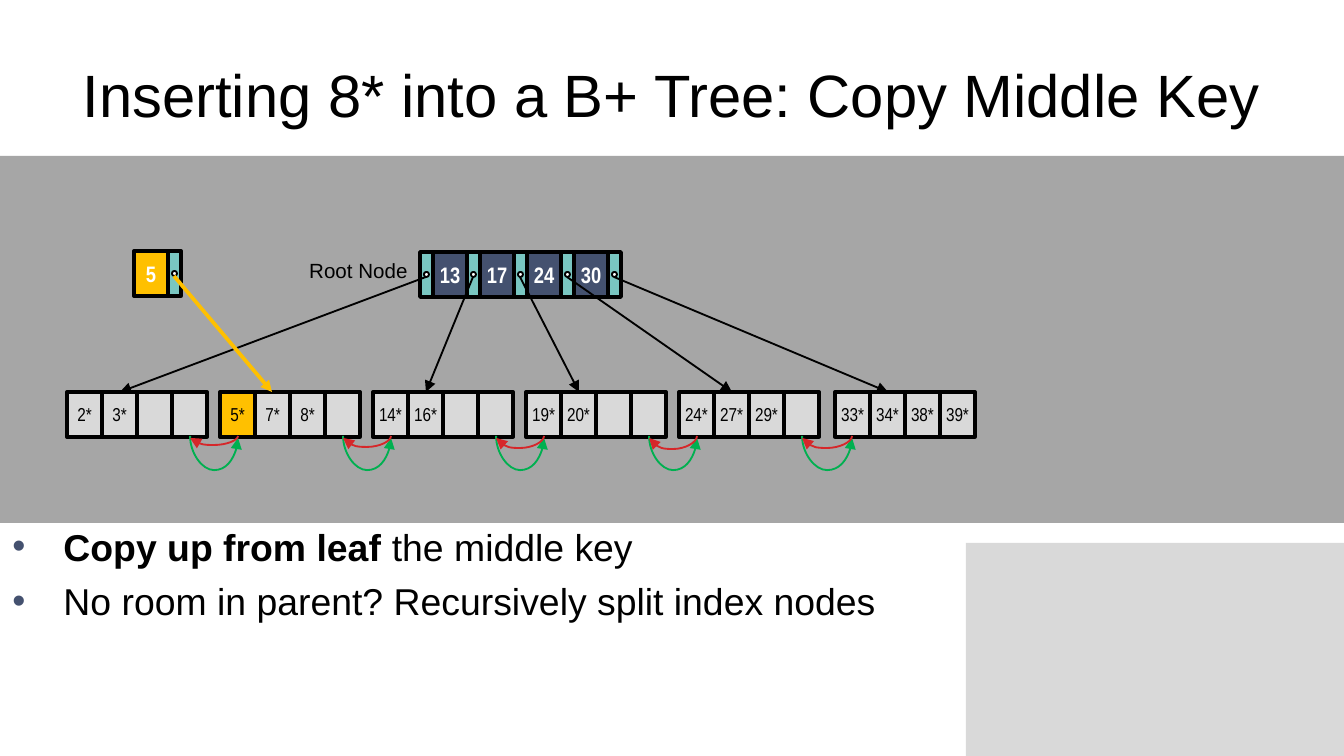
"""Build a slide showing a key copied up during a B+ tree insertion."""
import itertools

import pptx
import pptx.dml.color
import pptx.enum.shapes
import pptx.enum.text
import pptx.oxml.ns
import pptx.util
from lxml import etree

SCALE = 914400 / 134.4
COLORS = {
    "black": "000000", "white": "FFFFFF", "band": "A6A6A6", "light": "D9D9D9",
    "key": "44516F", "pointer": "79C6C1", "highlight": "FFC000",
    "next": "00B050", "previous": "D6272A",
}
SHAPES = pptx.enum.shapes.MSO_SHAPE
CONNECTORS = pptx.enum.shapes.MSO_CONNECTOR
ALIGN = pptx.enum.text.PP_ALIGN
ANCHOR = pptx.enum.text.MSO_ANCHOR
KEY_WIDTH, POINTER_WIDTH, LEAF_WIDTH, CELL_HEIGHT = 34, 13, 35, 45
ROOT_LEFT, ROOT_TOP, SPLIT_LEFT, SPLIT_TOP, LEAF_TOP = 420, 252, 134, 251, 392
LEAF_LEFTS = [67, 220, 373, 526, 679, 835]
LEAVES = [
    ["2*", "3*", "", ""], ["5*", "7*", "8*", ""], ["14*", "16*", "", ""],
    ["19*", "20*", "", ""], ["24*", "27*", "29*", ""], ["33*", "34*", "38*", "39*"],
]
PREVIOUS_DEPTHS = [9, 11, 12, 13, 12]


def px(length):
    """Turn pixels into EMU."""
    return pptx.util.Emu(round(length * SCALE))


def rgb(color):
    """Look up a named colour."""
    return pptx.dml.color.RGBColor.from_string(COLORS[color])


def add_child(parent, tag, **attributes):
    """Append a DrawingML element."""
    return etree.SubElement(parent, pptx.oxml.ns.qn(f"a:{tag}"), **attributes)


def write_text(paragraph, text, size=20, font="Arial", color="black", bold=False, align=None):
    """Add a formatted run to a paragraph."""
    if align is not None:
        paragraph.alignment = align
    run = paragraph.add_run()
    run.text = text
    run.font.size = pptx.util.Pt(size)
    run.font.name = font
    run.font.bold = bold
    run.font.color.rgb = rgb(color)


class TreeSlide:
    """Hold the slide and the style of its elements."""

    def __init__(self, slide):
        """Keep the current slide."""
        self.slide = slide

    def place(self, shape, left, top, width, height):
        """Move and size a shape."""
        shape.left, shape.top, shape.width, shape.height = map(px, (left, top, width, height))

    def title(self, text, *box):
        """Fill the title placeholder."""
        shape = self.slide.shapes.title
        self.place(shape, *box)
        shape.text_frame.auto_size = pptx.enum.text.MSO_AUTO_SIZE.NONE
        shape.text_frame.vertical_anchor = ANCHOR.MIDDLE
        write_text(shape.text_frame.paragraphs[0], text, size=32, align=ALIGN.CENTER)

    def bullets(self, items, *box):
        """Fill the body placeholder with bulleted items."""
        shape = self.slide.placeholders[1]
        self.place(shape, *box)
        frame = shape.text_frame
        frame.auto_size = pptx.enum.text.MSO_AUTO_SIZE.NONE
        for index, runs in enumerate(items):
            paragraph = frame.add_paragraph() if index else frame.paragraphs[0]
            properties = paragraph._p.get_or_add_pPr()
            properties.set("marL", str(px(51)))
            properties.set("indent", str(px(-51)))
            add_child(add_child(properties, "buClr"), "srgbClr", val=COLORS["key"])
            add_child(properties, "buFont", typeface="Arial")
            add_child(properties, "buChar", char="•")
            paragraph.space_before = pptx.util.Pt(5 if index else 0)
            for text, bold in runs:
                write_text(paragraph, text, bold=bold)

    def shape(self, left, top, width, height, fill, line=0, kind=SHAPES.RECTANGLE, group=None):
        """Draw a filled shape, outlined when a line width is given."""
        shapes = (group or self.slide).shapes
        shape = shapes.add_shape(kind, *map(px, (left, top, width, height)))
        shape.shadow.inherit = False
        shape.fill.solid()
        shape.fill.fore_color.rgb = rgb(fill)
        if line:
            shape.line.color.rgb = rgb("black")
            shape.line.width = pptx.util.Pt(line)
        else:
            shape.line.fill.background()
        return shape

    def cell(self, group, left, top, width, fill, text="", **style):
        """Draw one cell of a node."""
        shape = self.shape(left, top, width, CELL_HEIGHT, fill, line=2, group=group)
        if text:
            frame = shape.text_frame
            frame.margin_left = frame.margin_right = 0
            frame.vertical_anchor = ANCHOR.MIDDLE
            write_text(frame.paragraphs[0], text, font="Arial Narrow", align=ALIGN.CENTER, **style)

    def pointer(self, group, left, top):
        """Draw a pointer cell and return the start of its arrow."""
        self.cell(group, left, top, POINTER_WIDTH, "pointer")
        self.shape(left + 4, top + 20, 5, 5, "white", line=1, kind=SHAPES.OVAL, group=group)
        return left + 6, top + 25

    def index_node(self, left, top, keys, fill, leading=False):
        """Draw keys with their pointers and return the arrow starts."""
        group = self.slide.shapes.add_group_shape()
        starts = []
        if leading:
            starts.append(self.pointer(group, left, top))
            left += POINTER_WIDTH
        for key in keys:
            self.cell(group, left, top, KEY_WIDTH, fill, key, size=12, color="white", bold=True)
            starts.append(self.pointer(group, left + KEY_WIDTH, top))
            left += KEY_WIDTH + POINTER_WIDTH
        return starts

    def leaf(self, left, entries, highlight):
        """Draw a leaf node."""
        group = self.slide.shapes.add_group_shape()
        for index, entry in enumerate(entries):
            fill = "highlight" if entry == highlight else "light"
            self.cell(group, left + index * LEAF_WIDTH, LEAF_TOP, LEAF_WIDTH, fill, entry, size=10)

    def arrow(self, start, end, color="black", width=1, kind=CONNECTORS.STRAIGHT):
        """Draw a connector with an arrowhead at its end."""
        connector = self.slide.shapes.add_connector(kind, *map(px, (*start, *end)))
        connector.line.color.rgb = rgb(color)
        connector.line.width = pptx.util.Pt(width)
        add_child(connector.line._get_or_add_ln(), "tailEnd", type="triangle")
        add_child(connector._element.spPr, "effectLst")
        return connector

    def sibling_link(self, left, right, depth, color, forward):
        """Draw a curved arrow hanging below two neighbouring leaves."""
        center, half = (left + right) // 2, (right - left) // 2
        bottom = LEAF_TOP + CELL_HEIGHT
        side = 1 if forward else -1
        connector = self.arrow((center + side, bottom - half), (center - side, bottom + half),
                               color, kind=CONNECTORS.CURVE)
        properties = connector._element.spPr
        properties.find(pptx.oxml.ns.qn("a:xfrm")).set("rot", "16200000" if forward else "5400000")
        geometry = properties.find(pptx.oxml.ns.qn("a:prstGeom"))
        adjustments = geometry.find(pptx.oxml.ns.qn("a:avLst"))
        if adjustments is None:
            adjustments = add_child(geometry, "avLst")
        add_child(adjustments, "gd", name="adj1", fmla=f"val {depth * 50000}")

    def label(self, text, *box):
        """Write a single-line label."""
        frame = self.slide.shapes.add_textbox(*map(px, box)).text_frame
        frame.word_wrap = False
        write_text(frame.paragraphs[0], text, size=11)


def main():
    """Build and save the slide."""
    presentation = pptx.Presentation()
    presentation.slide_width, presentation.slide_height = px(1344), px(756)
    tree = TreeSlide(presentation.slides.add_slide(presentation.slide_layouts[1]))
    tree.shape(966, 543, 378, 213, "light")
    tree.shape(0, 156, 1344, 367, "band")
    tree.title("Inserting 8* into a B+ Tree: Copy Middle Key", 67, 31, 1210, 126)
    starts = tree.index_node(ROOT_LEFT, ROOT_TOP, ["13", "17", "24", "30"], "key", leading=True)
    for left, entries in zip(LEAF_LEFTS, LEAVES):
        tree.leaf(left, entries, highlight="5*")
    for start, left in zip(starts, LEAF_LEFTS[:1] + LEAF_LEFTS[2:]):
        tree.arrow(start, (left + 53, LEAF_TOP))
    tree.label("Root Node", 296, 251, 128, 39)
    for (left, right), depth in zip(itertools.pairwise(LEAF_LEFTS), PREVIOUS_DEPTHS):
        tree.sibling_link(left + 123, right + 18, 34, "next", forward=True)
        tree.sibling_link(left + 123, right + 18, depth, "previous", forward=False)
    tree.bullets([
        [("Copy up from leaf ", True), ("the middle key", False)],
        [("No room in parent? Recursively split index nodes", False)],
    ], -1, 517, 1210, 439)
    split_start, = tree.index_node(SPLIT_LEFT, SPLIT_TOP, ["5"], "highlight")
    tree.arrow(split_start, (LEAF_LEFTS[1] + 52, LEAF_TOP), "highlight", width=2)
    presentation.save("out.pptx")


if __name__ == "__main__":
    main()
